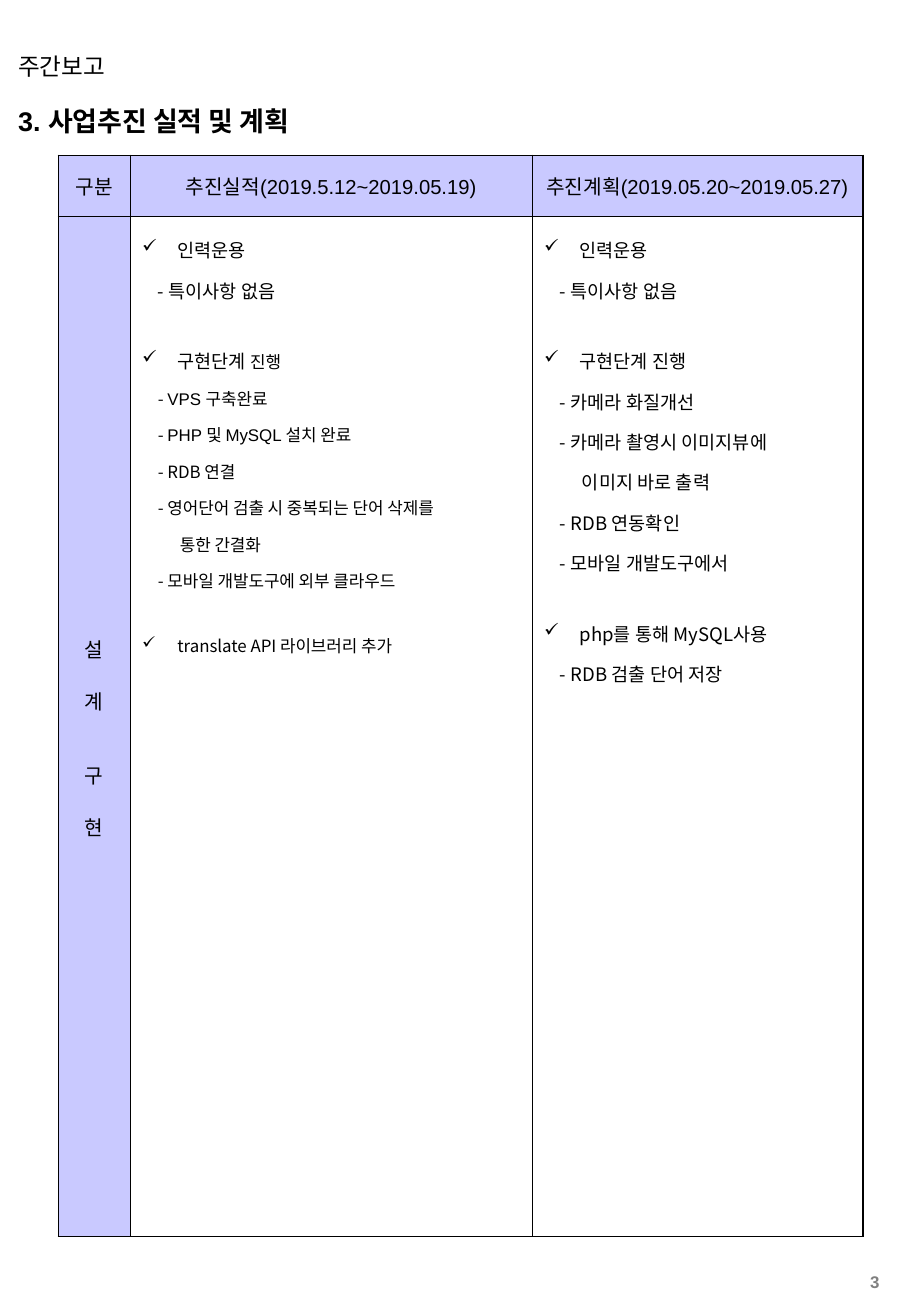
from lxml.etree import SubElement
from pptx import Presentation
from pptx.dml.color import RGBColor
from pptx.enum.text import MSO_ANCHOR, PP_ALIGN
from pptx.oxml import parse_xml
from pptx.oxml.ns import nsdecls, qn
from pptx.util import Cm, Pt

ARIAL, NOTO = "Arial", "Noto Sans CJK KR"
BLACK, GREY, LILAC = "000000", "808080", "C9C9FF"
THIN, THICK = 0.45, 1.08
CHECK_INDENT, DASH_INDENT, WRAP_INDENT = 0.74, 0.33, 0.79


def color(value):
    return RGBColor.from_string(value)


def check(*spans, before=0):
    return "check", CHECK_INDENT, before, spans


def dash(*spans):
    return "plain", DASH_INDENT, 0, spans


def wrapped(*spans):
    """Second line of a dash item."""
    return "plain", WRAP_INDENT, 0, spans


HEADERS = ["구분", "추진실적(2019.5.12~2019.05.19)", "추진계획(2019.05.20~2019.05.27)"]
STAGES = [("설", 0), ("계", 13.4), ("구", 27), ("현", 13.4)]
RESULTS = [
    check(("인력운용", 11, NOTO)),
    dash(("- 특이사항 없음", 11, NOTO)),
    check(("구현단계 ", 11, NOTO), ("진행", 10, NOTO), before=18),
    dash(("- ", 10, NOTO), ("VPS 구축완료", 10, ARIAL)),
    dash(("- ", 10, NOTO), ("PHP 및 MySQL 설치 완료", 10, ARIAL)),
    dash(("- RDB 연결", 10, NOTO)),
    dash(("- ", 10, NOTO), ("영어단어 검출 시 중복되는 단어 삭제를", 10, ARIAL)),
    wrapped(("통한 간결화", 10, ARIAL)),
    dash(("- 모바일 개발도구에 외부 클라우드", 10, NOTO)),
    check(("translate API 라이브러리 추가", 10, NOTO), before=17),
]
PLANS = [
    check(("인력운용", 11, NOTO)),
    dash(("- 특이사항 없음", 11, NOTO)),
    check(("구현단계 진행", 11, NOTO), before=18),
    dash(("- 카메라 화질개선", 11, NOTO)),
    dash(("- 카메라 촬영시 이미지뷰에", 11, NOTO)),
    wrapped(("이미지 바로 출력", 11, NOTO)),
    dash(("- RDB 연동확인", 11, NOTO)),
    dash(("- 모바일 개발도구에서", 11, NOTO)),
    check(("php를 통해 MySQL사용", 11, NOTO), before=18),
    dash(("- RDB 검출 단어 저장", 11, NOTO)),
]


class ReportPage:
    def __init__(self, deck):
        self.page = deck.slides.add_slide(deck.slide_layouts[6])

    def span(self, para, text, size, font=ARIAL, ink=BLACK, bold=False):
        span = para.add_run()
        span.text = text
        span.font.size = Pt(size)
        span.font.bold = bold
        span.font.color.rgb = color(ink)
        span.font.name = font
        SubElement(span.font._element, qn("a:ea")).set("typeface", NOTO)

    def text(self, left, top, width, height, text, size, align=PP_ALIGN.LEFT, **style):
        box = self.page.shapes.add_textbox(Cm(left), Cm(top), Cm(width), Cm(height))
        box.text_frame.word_wrap = True
        para = box.text_frame.paragraphs[0]
        para.alignment = align
        self.span(para, text, size, **style)

    def table(self, left, top, widths, heights):
        table = self.page.shapes.add_table(
            len(heights), len(widths), Cm(left), Cm(top), Cm(sum(widths)), Cm(sum(heights))).table
        table.first_row = table.horz_banding = False
        for column, width in zip(table.columns, widths):
            column.width = Cm(width)
        for row, height in zip(table.rows, heights):
            row.height = Cm(height)
        last = len(widths) - 1
        for r in range(len(heights)):
            for c in range(len(widths)):
                cell = table.cell(r, c)
                cell.margin_left = cell.margin_right = Cm(0.25)
                cell.margin_top = cell.margin_bottom = Cm(0.13)
                if r == 0 or c == 0:
                    cell.fill.solid()
                    cell.fill.fore_color.rgb = color(LILAC)
                    cell.vertical_anchor = MSO_ANCHOR.MIDDLE
                else:
                    cell.fill.background()
                self.borders(cell, L=c == 0, R=c == last, T=r == 0, B=False)
        return table

    def borders(self, cell, **thick_sides):
        properties = cell._tc.get_or_add_tcPr()
        for position, (side, thick) in enumerate(thick_sides.items()):
            width = Pt(THICK if thick else THIN)
            properties.insert(position, parse_xml(
                f'<a:ln{side} {nsdecls("a")} w="{width}"><a:solidFill>'
                f'<a:srgbClr val="{BLACK}"/></a:solidFill></a:ln{side}>'))

    def next_para(self, cell, index):
        frame = cell.text_frame
        return frame.add_paragraph() if index else frame.paragraphs[0]

    def centred(self, cell, lines):
        for index, (text, before) in enumerate(lines):
            para = self.next_para(cell, index)
            para.alignment = PP_ALIGN.CENTER
            para.space_before = Pt(before)
            self.span(para, text, 12)

    def items(self, cell, lines):
        for index, (kind, indent, before, spans) in enumerate(lines):
            para = self.next_para(cell, index)
            para.line_spacing = 1.5
            para.space_before = Pt(before)
            properties = para._p.get_or_add_pPr()
            properties.set("marL", str(Cm(indent)))
            if kind == "check":
                properties.set("indent", str(-Cm(indent)))
                ink = SubElement(properties, qn("a:buClr"))
                SubElement(ink, qn("a:srgbClr")).set("val", BLACK)
                SubElement(properties, qn("a:buChar")).set("char", "✓")
            for text, size, font in spans:
                self.span(para, text, size, font)


def main():
    deck = Presentation()
    deck.slide_width, deck.slide_height = Cm(19.05), Cm(27.53)
    report = ReportPage(deck)
    report.text(0.13, 0.97, 15.11, 0.86, "주간보고", 14)
    report.text(0.13, 2.06, 13.61, 0.94, "3. 사업추진 실적 및 계획", 16, bold=True)
    report.text(17.22, 26.47, 1.42, 0.61, "3", 10, PP_ALIGN.RIGHT, ink=GREY, bold=True)

    table = report.table(1.22, 3.25, [1.5, 8.41, 6.91], [1.27, 21.34])
    for column, header in enumerate(HEADERS):
        report.centred(table.cell(0, column), [(header, 0)])
    stage_cell = table.cell(1, 0)
    stage_cell.margin_top = Cm(0.6)
    report.centred(stage_cell, STAGES)
    report.items(table.cell(1, 1), RESULTS)
    report.items(table.cell(1, 2), PLANS)
    deck.save("out.pptx")


if __name__ == "__main__":
    main()
